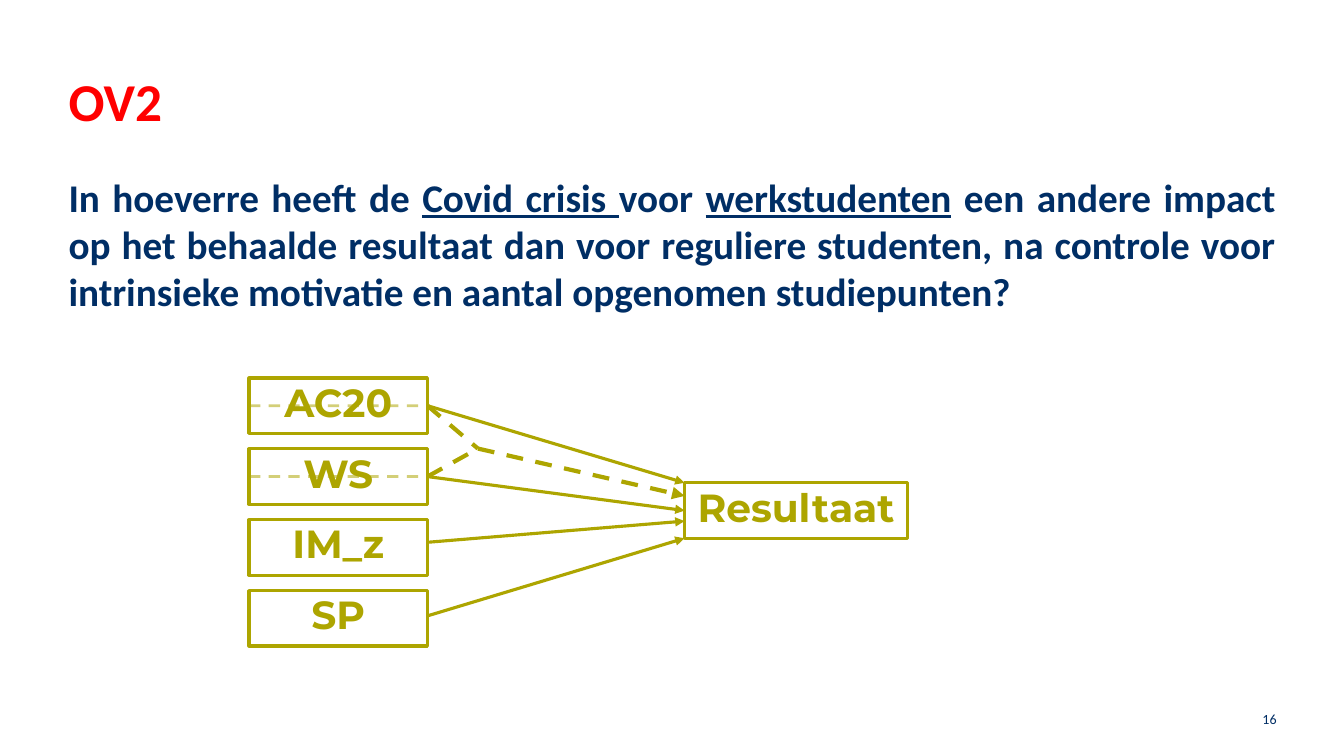
from lxml import etree
from pptx import Presentation
from pptx.dml.color import RGBColor
from pptx.enum.dml import MSO_LINE_DASH_STYLE as Dash
from pptx.enum.shapes import MSO_CONNECTOR as Conn, MSO_SHAPE as Shape
from pptx.enum.text import MSO_ANCHOR as Anchor, PP_ALIGN as Align
from pptx.oxml.ns import qn
from pptx.util import Inches, Pt

COLORS = {"title": "FF0000", "text": "002E65", "model": "ADA500"}
LEFT, RIGHT = 1, 3


def rgb(name):
    return RGBColor.from_string(COLORS[name])


def write(shape, *runs, size, color, font="Calibri", bold=True,
          align=Align.LEFT, anchor=Anchor.TOP, inset=0):
    """Fill a shape with one paragraph; a run is a string or (string, underline)."""
    tf = shape.text_frame
    tf.word_wrap = True
    tf.vertical_anchor = anchor
    tf.margin_left = tf.margin_right = Inches(inset)
    tf.margin_top = tf.margin_bottom = Inches(inset / 2)
    p = tf.paragraphs[0]
    p.alignment = align
    for run in runs:
        text, underline = (run, False) if isinstance(run, str) else run
        r = p.add_run()
        r.text = text
        r.font.name, r.font.size, r.font.bold = font, Pt(size), bold
        r.font.color.rgb = rgb(color)
        if underline:
            r.font.underline = True


def add_text(s, box, *runs, **fmt):
    write(s.shapes.add_textbox(*map(Inches, box)), *runs, **fmt)


def add_variable(s, box, name):
    sp = s.shapes.add_shape(Shape.RECTANGLE, *map(Inches, box))
    sp.shadow.inherit = False
    sp.fill.background()
    sp.line.color.rgb = rgb("model")
    sp.line.width = Pt(2.25)
    write(sp, name, size=28, color="model", font="Montserrat", align=Align.CENTER)
    return sp


def add_line(s, start, end, width=2.25, dash=False, arrow=False, opacity=None):
    """Draw a line; an end is (x, y) in inches or (shape, side)."""
    glued = [not isinstance(e[0], (int, float)) for e in (start, end)]
    points = [(0, 0) if g else e for g, e in zip(glued, (start, end))]
    c = s.shapes.add_connector(Conn.STRAIGHT, *(Inches(v) for pt in points for v in pt))
    if glued[0]:
        c.begin_connect(*start)
    if glued[1]:
        c.end_connect(*end)
    c.line.color.rgb = rgb("model")
    c.line.width = Pt(width)
    if dash:
        c.line.dash_style = Dash.DASH
    ln = c.line._get_or_add_ln()
    if opacity:
        clr = ln.find(".//" + qn("a:srgbClr"))
        etree.SubElement(clr, qn("a:alpha"), val=str(opacity * 1000))
    if arrow:
        etree.SubElement(ln, qn("a:tailEnd"), type="triangle")
    etree.SubElement(c._element.spPr, qn("a:effectLst"))


def add_model(s, x, y):
    """Four predictors, their effects and one interaction on the result."""
    w, h, pitch = 1.77, 0.55, 0.703
    names = ["AC20", "WS", "IM_z", "SP"]
    ac, ws, _, _ = [add_variable(s, (x, y + i * pitch, w, h), name)
                    for i, name in enumerate(names)]
    out_x, out_y = x + 4.32, y + 1.04
    result = add_variable(s, (out_x, out_y, 2.21, h), "Resultaat")

    right = x + w
    effects = [
        ((ac, RIGHT), (out_x, out_y)),
        ((right, y + 2.36), (out_x, out_y + h)),
        ((ws, RIGHT), (result, LEFT)),
        ((right, y + 1.63), (out_x, out_y + 0.38)),
    ]
    for start, end in effects:
        add_line(s, start, end, arrow=True)

    joint = (right + 0.5, y + 0.7)
    for source in (ac, ws):
        add_line(s, (source, RIGHT), joint, width=3, dash=True)
    add_line(s, joint, (out_x, out_y + 0.13), width=3, dash=True, arrow=True)
    for source in (ac, ws):
        add_line(s, (source, LEFT), (source, RIGHT), width=2, dash=True, opacity=52)


def add_question(s, x, y, w):
    add_text(s, (x, y, w, 0.87), "OV2", size=38, color="title")
    add_text(s, (x, y + 1.04, w, 1.5),
             "In hoeverre heeft de ", ("Covid crisis ", True), "voor ",
             ("werkstudenten", True),
             " een andere impact op het behaalde resultaat dan voor reguliere "
             "studenten, na controle voor intrinsieke motivatie en aantal "
             "opgenomen studiepunten?",
             size=28, color="text", align=Align.JUSTIFY)


def main():
    prs = Presentation()
    prs.slide_width, prs.slide_height = Inches(13.33), Inches(7.5)
    s = prs.slides.add_slide(prs.slide_layouts[6])
    add_question(s, 0.68, 0.68, 11.97)
    add_model(s, 2.47, 3.75)
    add_text(s, (9.76, 6.93, 3, 0.4), "16", size=10, color="text", bold=False,
             align=Align.RIGHT, anchor=Anchor.MIDDLE, inset=0.1)
    prs.save("out.pptx")


if __name__ == "__main__":
    main()
